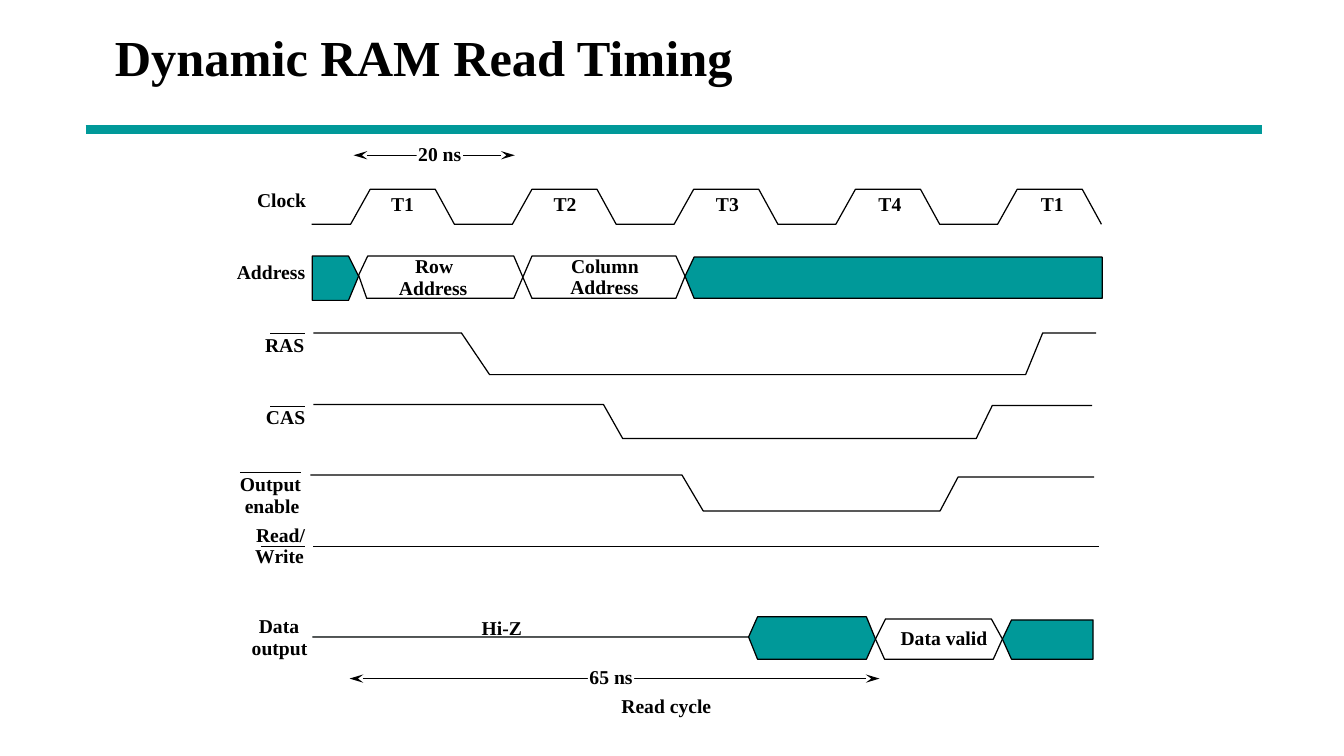
from dataclasses import dataclass

from lxml.etree import SubElement
from pptx import Presentation
from pptx.dml.color import RGBColor
from pptx.enum.shapes import MSO_CONNECTOR as Connector
from pptx.enum.text import MSO_ANCHOR as Anchor, MSO_AUTO_SIZE as AutoSize, PP_ALIGN as Align
from pptx.oxml.ns import qn
from pptx.util import Pt

FONT = "Times New Roman"
BLACK, WHITE, TEAL = "000000", "FFFFFF", "009999"
THIN = 0.88
LABEL_HEIGHT = 16.6
SLACK = 1  # spare width on each side of a label

Point = tuple[float, float]


@dataclass
class Label:
    text: str
    left: float
    top: float
    width: float
    fill: str | None = None


@dataclass
class Strobe:
    """Active-low signal: high, falling edge, low, rising edge, high."""
    start: float
    fall: Point
    rise: Point
    end: float
    high: float
    low: float
    high_after: float

    def points(self) -> list[Point]:
        return [(self.start, self.high), (self.fall[0], self.high),
                (self.fall[1], self.low), (self.rise[0], self.low),
                (self.rise[1], self.high_after), (self.end, self.high_after)]


@dataclass
class Outline:
    points: list[Point]
    fill: str | None = None
    close: bool = True


@dataclass
class Rule:
    left: float
    right: float
    y: float
    color: str = BLACK
    width: float = THIN
    arrows: bool = False


def rgb(color: str) -> RGBColor:
    return RGBColor.from_string(color)


def write(frame, text: str, *, size: float, align=Align.LEFT, anchor=Anchor.TOP) -> None:
    frame.vertical_anchor = anchor
    para = frame.paragraphs[0]
    para.alignment = align
    span = para.add_run()
    span.text = text
    span.font.name, span.font.size, span.font.bold = FONT, Pt(size), True
    span.font.color.rgb = rgb(BLACK)


def draw_label(page, label: Label) -> None:
    box = page.shapes.add_textbox(
        Pt(label.left - SLACK), Pt(label.top), Pt(label.width + 2 * SLACK), Pt(LABEL_HEIGHT))
    frame = box.text_frame
    frame.word_wrap = False
    frame.auto_size = AutoSize.SHAPE_TO_FIT_TEXT
    frame.margin_left = frame.margin_right = frame.margin_top = frame.margin_bottom = 0
    if label.fill:
        box.fill.solid()
        box.fill.fore_color.rgb = rgb(label.fill)
    write(frame, label.text, size=14, align=Align.CENTER)


def draw_outline(page, outline: Outline) -> None:
    first, *rest = [(Pt(x), Pt(y)) for x, y in outline.points]
    builder = page.shapes.build_freeform(*first)
    builder.add_line_segments(rest, close=outline.close)
    shape = builder.convert_to_shape()
    shape.shadow.inherit = False
    if outline.fill:
        shape.fill.solid()
        shape.fill.fore_color.rgb = rgb(outline.fill)
    else:
        shape.fill.background()
    shape.line.color.rgb = rgb(BLACK)
    shape.line.width = Pt(THIN)


def draw_rule(page, rule: Rule) -> None:
    line = page.shapes.add_connector(
        Connector.STRAIGHT, Pt(rule.left), Pt(rule.y), Pt(rule.right), Pt(rule.y))
    line.line.color.rgb = rgb(rule.color)
    line.line.width = Pt(rule.width)
    properties = line._element.spPr
    if rule.arrows:
        for end in ("a:headEnd", "a:tailEnd"):
            SubElement(properties.find(qn("a:ln")), qn(end),
                       type="stealth", w="med", len="lg")
    SubElement(properties, qn("a:effectLst"))


# Clock: five pulses, the last one cut off at its falling edge
PERIOD = 115.6
CLOCK_LOW, CLOCK_HIGH = 160.2, 135.2
clock = [(222.7, CLOCK_LOW)]
for pulse in range(5):
    rise = 250.6 + pulse * PERIOD
    clock += [(rise, CLOCK_LOW), (rise + 14, CLOCK_HIGH),
              (rise + 60.5, CLOCK_HIGH), (rise + 74.2, CLOCK_LOW)]

# Signals with an active-low pulse
STROBES = [
    Strobe(223.9, (329.8, 349.9), (733, 745.2), 783.4, 237.8, 267.6, 237.8),  # RAS
    Strobe(223.9, (431.3, 445), (697.7, 709.2), 780.5, 288.9, 313.2, 289.6),  # CAS
    Strobe(221.8, (487.4, 502.6), (671.8, 684.7), 781.9, 339.3, 365, 340.7),  # Output enable
]

# Address and data buses
BUSES = [
    Outline([(787.7, 213.1), (496.1, 213.1), (489.6, 197.3), (496.1, 183.6),
             (787.7, 183.6)], TEAL),
    Outline([(470.2, 213.1), (380.2, 213.1), (367.2, 182.9), (262.8, 182.9),
             (256.3, 196.6), (262.1, 213.1), (367.2, 213.1), (380.2, 182.9),
             (483.1, 182.9), (489.6, 197.3), (483.1, 213.1)]),
    Outline([(223.2, 182.9), (249.1, 182.9), (256.3, 197.3), (249.1, 214.6),
             (223.2, 214.6)], TEAL),
    Outline([(709.9, 470.9), (632.2, 470.9), (625.7, 456.5), (632.9, 442.1),
             (708.5, 442.1), (716.4, 456.5)]),
    Outline([(781.2, 470.9), (722.9, 470.9), (716.4, 456.5), (722.9, 442.8),
             (781.2, 442.8)], TEAL),
    Outline([(223.2, 455), (535, 455), (541.4, 440.6), (619.2, 440.6),
             (625.7, 456.5), (619.2, 470.9), (541.4, 470.9), (535, 455)], TEAL, False),
]

RULES = [
    Rule(61.2, 902.2, 92.5, TEAL, 6),            # under the title
    Rule(252.7, 367.9, 110.9, arrows=True),      # 20 ns
    Rule(249.8, 628.6, 484.7, arrows=True),      # 65 ns
    Rule(223.9, 785.5, 390.2),                   # Read/Write signal
    Rule(186.5, 218.2, 390.2),                   # bar over Write
    Rule(193, 218.2, 238.3),                     # bar over RAS
    Rule(193, 218.2, 290.2),                     # bar over CAS
    Rule(171.4, 215.3, 337.7),                   # bar over Output
]

LABELS = [
    Label("20 ns", 298.8, 101.5, 31, WHITE),
    Label("65 ns", 421.2, 475.2, 31, WHITE),
    Label("Read cycle", 444.2, 495.4, 64.1),
    Label("Clock", 183.6, 134.6, 35.3),
    Label("Address", 169.2, 185.8, 49),
    Label("RAS", 189.4, 237.6, 28.1),
    Label("CAS", 190.1, 289.4, 28.1),
    Label("Output", 171.4, 337, 43.9),
    Label("enable", 175, 352.8, 38.9),
    Label("Read/", 182.9, 373.7, 35.3),
    Label("Write", 182.2, 388.8, 35.3),
    Label("Data", 185, 438.5, 28.8),
    Label("output", 180, 454.3, 39.6),
    Label("Row", 296.6, 181.4, 27.4),
    Label("Address", 285.1, 197.3, 49),
    Label("Column", 408.2, 181.4, 48.2),
    Label("Address", 407.5, 196.6, 49),
    Label("Hi-Z", 344.2, 439.9, 28.8),
    Label("Data valid", 643.7, 447.1, 61.9),
]
LABELS += [Label(name, 279.4 + index * 116.1, 136.8, 16.6)
           for index, name in enumerate(["T1", "T2", "T3", "T4", "T1"])]


def main() -> None:
    deck = Presentation()
    deck.slide_width, deck.slide_height = Pt(960.48), Pt(540)
    page = deck.slides.add_slide(deck.slide_layouts[5])

    # Title
    title = page.shapes.title
    title.left, title.top, title.width, title.height = Pt(74.9), Pt(0), Pt(815.8), Pt(80.6)
    write(title.text_frame, "Dynamic RAM Read Timing", size=36, anchor=Anchor.MIDDLE)

    # Timing diagram
    waves = [Outline(clock, close=False)]
    waves += [Outline(strobe.points(), close=False) for strobe in STROBES]
    for rule in RULES:
        draw_rule(page, rule)
    for outline in BUSES + waves:
        draw_outline(page, outline)
    for label in LABELS:
        draw_label(page, label)

    deck.save("out.pptx")


if __name__ == "__main__":
    main()
